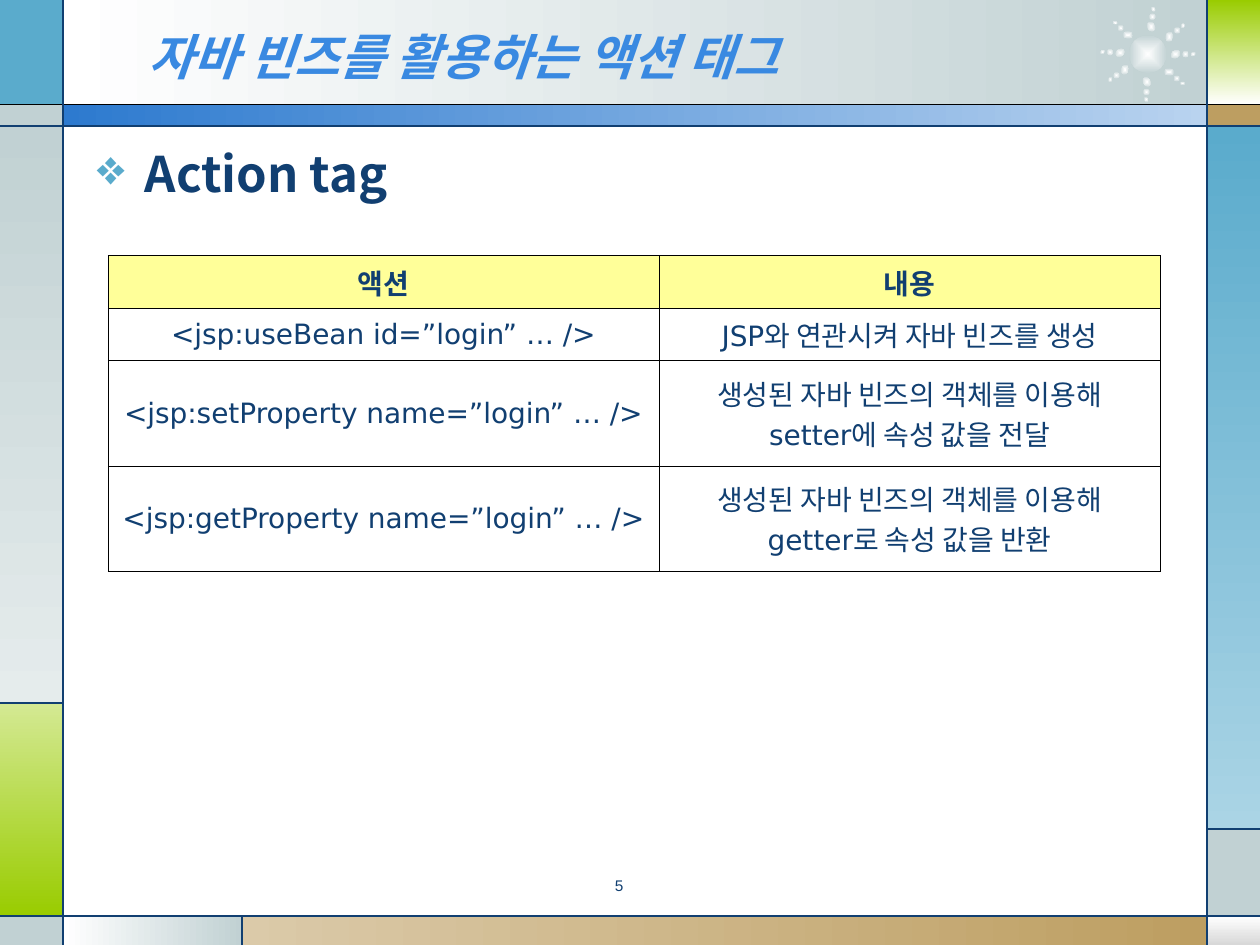
from math import cos, radians, sin
from lxml.etree import SubElement
from pptx import Presentation
from pptx.dml.color import RGBColor
from pptx.enum.shapes import MSO_CONNECTOR, MSO_SHAPE
from pptx.enum.text import MSO_ANCHOR, PP_ALIGN
from pptx.oxml import parse_xml
from pptx.oxml.ns import nsdecls, qn
from pptx.util import Inches, Pt

W, H = 10, 7.5
C = {"white": "FFFFFF", "black": "000000", "mist": "C1D1D3", "pale": "E5ECEC",
     "sky": "5AABCC", "light_sky": "AAD4E5", "lime": "99CC00", "light_lime": "D4E993",
     "sand": "BD9E61", "light_sand": "DBCAA9", "silver": "D8D8D8", "blue": "2D7ACF",
     "light_blue": "B9D3EF", "title": "3989E1", "navy": "113F71", "header": "FFFF99"}
KR, SANS, ARIAL = "Noto Sans CJK KR", "DejaVu Sans", "Arial"

TITLE = "자바 빈즈를 활용하는 액션 태그"
HEADING = "Action tag"
PAGE = "5"
ROWS = [
    (["액션"], ["내용"]),
    (["<jsp:useBean id=”login” … />"], ["JSP와 연관시켜 자바 빈즈를 생성"]),
    (["<jsp:setProperty name=”login” … />"],
     ["생성된 자바 빈즈의 객체를 이용해", "setter에 속성 값을 전달"]),
    (["<jsp:getProperty name=”login” … />"],
     ["생성된 자바 빈즈의 객체를 이용해", "getter로 속성 값을 반환"]),
]
COL_WIDTHS = [4.37, 3.98]
LINE_HEIGHT = 0.417

LEFT, RIGHT = 0.5, 9.58
TOP, BAND, BOTTOM = 0.83, 1, 7.27
LIME_TOP, MIST_TOP, SAND_LEFT = 5.58, 6.58, 1.92
ACROSS, DOWN = 0, 270

PANELS = [
    (LEFT, 0, RIGHT, TOP, ("white", "mist"), ACROSS),
    (0, 0, LEFT, TOP, ("sky",), None),
    (0, TOP, LEFT, BAND, ("mist",), None),
    (0, BAND, LEFT, LIME_TOP, ("mist", "pale"), DOWN),
    (0, LIME_TOP, LEFT, BOTTOM, ("light_lime", "lime"), DOWN),
    (0, BOTTOM, LEFT, H, ("mist",), None),
    (LEFT, BOTTOM, SAND_LEFT, H, ("white", "mist"), ACROSS),
    (SAND_LEFT, BOTTOM, RIGHT, H, ("light_sand", "sand"), ACROSS),
    (RIGHT, BOTTOM, W, H, ("white", "silver"), DOWN),
    (RIGHT, MIST_TOP, W, BOTTOM, ("mist",), None),
    (RIGHT, BAND, W, MIST_TOP, ("sky", "light_sky"), DOWN),
    (RIGHT, TOP, W, BAND, ("sand",), None),
    (RIGHT, 0, W, TOP, ("lime", "white"), DOWN),
    (LEFT, TOP, RIGHT, BAND, ("blue", "light_blue"), ACROSS),
]
RULES = [
    (0, TOP, W, TOP, "black"), (0, BAND, W, BAND, "navy"),
    (0, BOTTOM, W, BOTTOM, "navy"), (LEFT, 0, LEFT, H, "navy"),
    (RIGHT, 0, RIGHT, H, "navy"), (LEFT, LIME_TOP, 0, LIME_TOP, "navy"),
    (SAND_LEFT, BOTTOM, SAND_LEFT, H, "navy"), (RIGHT, MIST_TOP, W, MIST_TOP, "navy"),
]
BURST_X, BURST_Y, BURST_SIZE = 9.11, 0.43, 0.3
RAYS = [40, 0, 321, 92, 277, 224, 183, 146]
DOTS = [(0.3, 0.05, 0.05), (0.36, 0.04, 0.03), (0.22, 0.08, 0.06)]


def rgb(name):
    return RGBColor.from_string(C[name])


def add_filled(s, kind, x, y, w, h, colors, angle=None):
    sp = s.shapes.add_shape(kind, Inches(x), Inches(y), Inches(w), Inches(h))
    sp.shadow.inherit = False
    sp.line.fill.background()
    if len(colors) == 1:
        sp.fill.solid()
        sp.fill.fore_color.rgb = rgb(colors[0])
        return sp
    sp.fill.gradient()
    for stop, color in zip(sp.fill.gradient_stops, colors):
        stop.color.rgb = rgb(color)
    if angle is not None:
        sp.fill.gradient_angle = angle
    return sp


def add_glow(s, cx, cy, w, h, rotation):
    sp = add_filled(s, MSO_SHAPE.OVAL, cx - w / 2, cy - h / 2, w, h, ("white", "mist"))
    sp.rotation = rotation
    lin = sp.element.spPr.find(".//" + qn("a:lin"))
    lin.getparent().replace(lin, parse_xml(
        f'<a:path {nsdecls("a")} path="rect">'
        '<a:fillToRect l="50000" t="50000" r="50000" b="50000"/></a:path>'))


def add_rule(s, x1, y1, x2, y2, color):
    ln = s.shapes.add_connector(MSO_CONNECTOR.STRAIGHT, *map(Inches, (x1, y1, x2, y2)))
    ln.line.color.rgb = rgb(color)
    ln.line.width = Pt(0.75)
    SubElement(ln.element.spPr, qn("a:effectLst"))


def add_run(p, text, size, font, color="navy", bold=False, italic=False):
    r = p.add_run()
    r.text = text
    f = r.font
    f.size, f.name, f.bold, f.italic = Pt(size), font, bold, italic
    f.color.rgb = rgb(color)
    SubElement(r.font._element, qn("a:ea")).set("typeface", KR)


def place(sp, x, y, w, h):
    sp.left, sp.top, sp.width, sp.height = map(Inches, (x, y, w, h))


def add_text_box(s, x, y, w, h):
    tf = s.shapes.add_textbox(*map(Inches, (x, y, w, h))).text_frame
    tf.word_wrap = True
    return tf.paragraphs[0]


def add_title(s):
    sp = s.shapes.title
    s.shapes.element.append(sp.element)
    place(sp, 1.08, 0.13, 7.33, 0.62)
    tf = sp.text_frame
    tf.vertical_anchor = MSO_ANCHOR.MIDDLE
    p = tf.paragraphs[0]
    p.alignment = PP_ALIGN.LEFT
    add_run(p, TITLE, 28, KR, "title", True, True)


def add_heading(s):
    p = add_text_box(s, 0.67, 1.09, 8.77, 5.63)
    pPr = p._p.get_or_add_pPr()
    pPr.set("marL", str(Inches(0.38)))
    pPr.set("indent", str(Inches(-0.38)))
    color = SubElement(pPr, qn("a:buClr"))
    SubElement(color, qn("a:srgbClr")).set("val", C["sky"])
    SubElement(pPr, qn("a:buChar")).set("char", "❖")
    add_run(p, HEADING, 28, KR, bold=True)


def format_cell(cell, header):
    cell.vertical_anchor = MSO_ANCHOR.MIDDLE
    cell.margin_left = cell.margin_right = Inches(0.07)
    cell.margin_top = cell.margin_bottom = Inches(0.05)
    tcPr = cell._tc.get_or_add_tcPr()
    for side in ("a:lnL", "a:lnR", "a:lnT", "a:lnB"):
        ln = SubElement(tcPr, qn(side), w=str(Pt(0.45)))
        fill = SubElement(ln, qn("a:solidFill"))
        SubElement(fill, qn("a:srgbClr")).set("val", C["black"])
    if header:
        cell.fill.solid()
        cell.fill.fore_color.rgb = rgb("header")
    else:
        cell.fill.background()


def add_action_table(s):
    heights = [LINE_HEIGHT * max(map(len, row)) for row in ROWS]
    table = s.shapes.add_table(len(ROWS), len(COL_WIDTHS), Inches(0.86), Inches(2.03),
                               Inches(sum(COL_WIDTHS)), Inches(sum(heights))).table
    for column, width in zip(table.columns, COL_WIDTHS):
        column.width = Inches(width)
    for i, (row, height) in enumerate(zip(ROWS, heights)):
        table.rows[i].height = Inches(height)
        for j, lines in enumerate(row):
            cell = table.cell(i, j)
            format_cell(cell, i == 0)
            tf = cell.text_frame
            for k, line in enumerate(lines):
                p = tf.add_paragraph() if k else tf.paragraphs[0]
                p.alignment = PP_ALIGN.CENTER
                add_run(p, line, 16, SANS, bold=i == 0)


def main():
    prs = Presentation()
    prs.slide_width, prs.slide_height = Inches(W), Inches(H)
    s = prs.slides.add_slide(prs.slide_layouts[5])
    for x1, y1, x2, y2, colors, angle in PANELS:
        add_filled(s, MSO_SHAPE.RECTANGLE, x1, y1, x2 - x1, y2 - y1, colors, angle)
    add_glow(s, BURST_X, BURST_Y, BURST_SIZE, BURST_SIZE, 2.5)
    for ray in RAYS:
        for radius, w, h in DOTS:
            add_glow(s, BURST_X + radius * cos(radians(ray)),
                     BURST_Y + radius * sin(radians(ray)), w, h, ray - 35)
    for rule in RULES:
        add_rule(s, *rule)
    add_title(s)
    add_heading(s)
    p = add_text_box(s, 3.75, 6.93, 2.33, 0.27)
    p.alignment = PP_ALIGN.CENTER
    p.line_spacing = 0.8
    add_run(p, PAGE, 8.8, ARIAL)
    add_action_table(s)
    prs.save("out.pptx")


if __name__ == "__main__":
    main()
